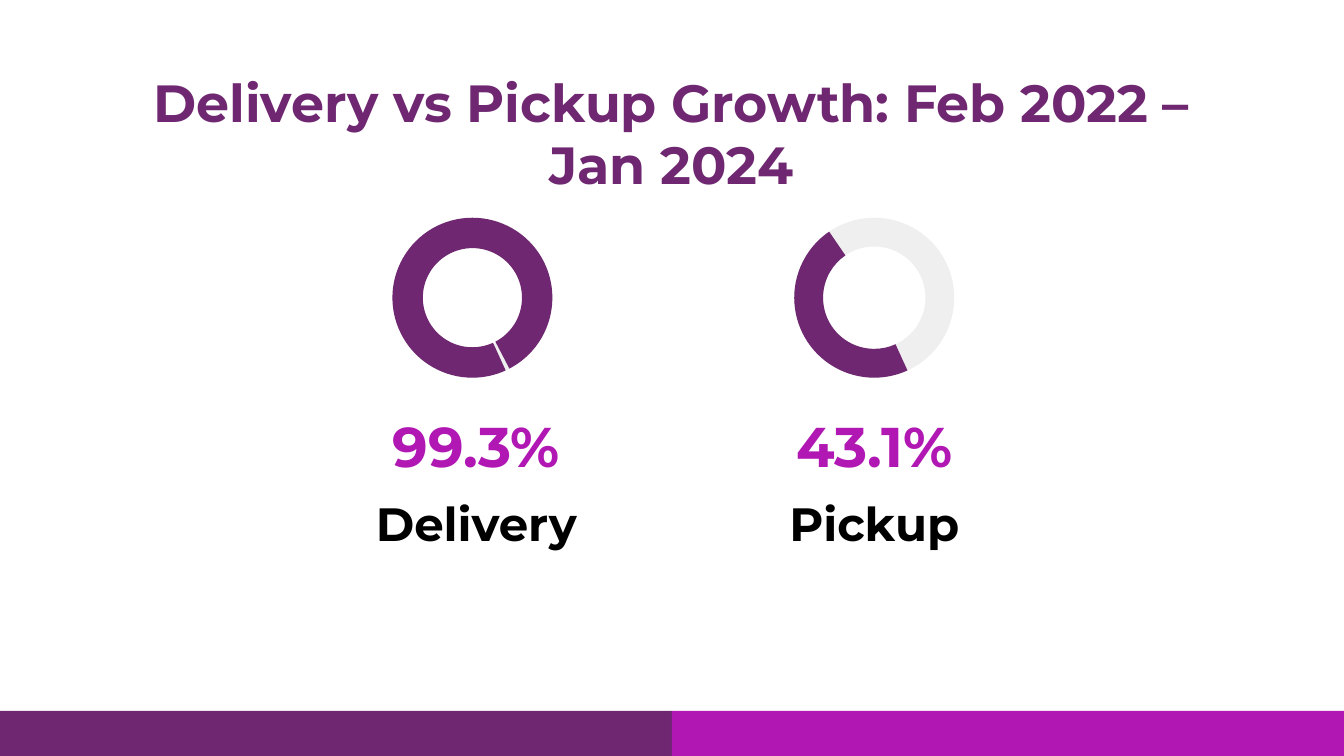
from pptx import Presentation
from pptx.dml.color import RGBColor
from pptx.enum import shapes, text
from pptx.util import Inches, Pt

COLORS = {"purple": "6E2770", "magenta": "B017B3", "track": "EFEFEF", "black": "000000"}
DEGREE = 0.6  # one degree as an adjustment value

prs = Presentation()
prs.slide_width = Inches(10)
prs.slide_height = Inches(10 * 9 / 16)
s = prs.slides.add_slide(prs.slide_layouts[6])


def add_filled(kind, left, top, width, height, color, adjustments=()):
    sp = s.shapes.add_shape(kind, Inches(left), Inches(top), Inches(width), Inches(height))
    sp.shadow.inherit = False
    sp.fill.solid()
    sp.fill.fore_color.rgb = RGBColor.from_string(COLORS[color])
    sp.line.fill.background()
    for i, value in enumerate(adjustments):
        sp.adjustments[i] = value


def add_label(words, left, top, width, size, color, anchor=text.MSO_ANCHOR.TOP):
    tf = s.shapes.add_textbox(Inches(left), Inches(top), Inches(width), Inches(0.71)).text_frame
    tf.word_wrap = True
    tf.vertical_anchor = anchor
    tf.margin_left = tf.margin_right = tf.margin_top = tf.margin_bottom = Inches(0.1)
    p = tf.paragraphs[0]
    p.text = words
    p.alignment = text.PP_ALIGN.CENTER
    font = p.runs[0].font
    font.name, font.size, font.bold = "Montserrat", Pt(size), True
    font.color.rgb = RGBColor.from_string(COLORS[color])


# Footer band
for left, color in ((0, "purple"), (5, "magenta")):
    add_filled(shapes.MSO_SHAPE.RECTANGLE, left, 5.29, 5, 0.34, color)

add_label("Delivery vs Pickup Growth: Feb 2022 – Jan 2024", 0.78, 0.42, 8.43, 28, "purple")

# Growth rings: label left, ring left, arc end in degrees, arc thickness
growth = [
    ("Delivery", "99.3%", 2.36, 2.92, 62.43, 0.19),
    ("Pickup", "43.1%", 5.32, 5.91, 235.7, 0.18),
]
for name, percent, label_left, ring_left, end, thickness in growth:
    ring = (ring_left, 1.62, 1.19, 1.19)
    add_filled(shapes.MSO_SHAPE.DONUT, *ring, "track", [0.18])
    add_filled(shapes.MSO_SHAPE.BLOCK_ARC, *ring, "purple",
               [65.43 * DEGREE, end * DEGREE, thickness])
    add_label(percent, label_left, 2.96, 2.37, 30, "magenta", text.MSO_ANCHOR.MIDDLE)
    add_label(name, label_left, 3.58, 2.37, 25, "black")

prs.save("out.pptx")
